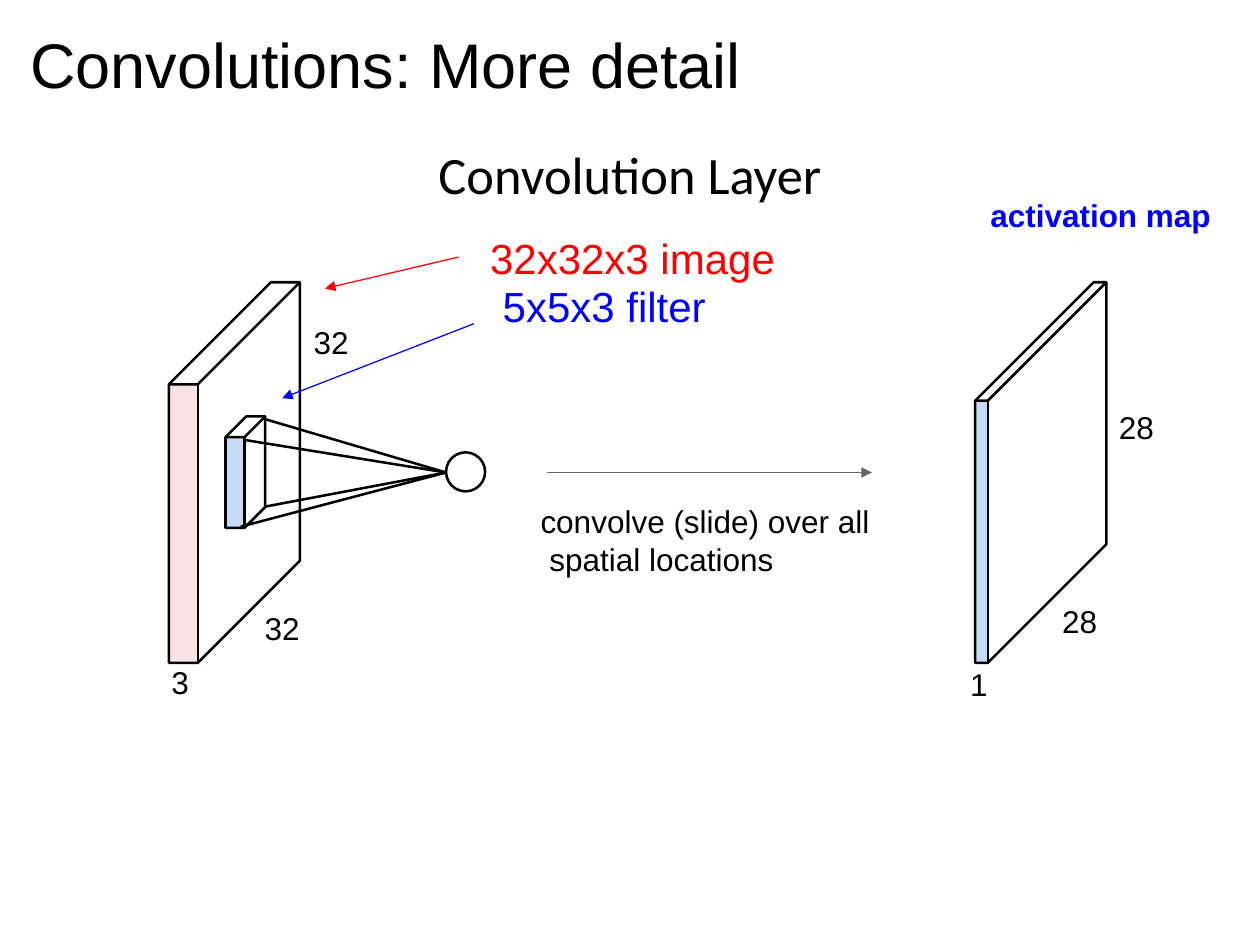
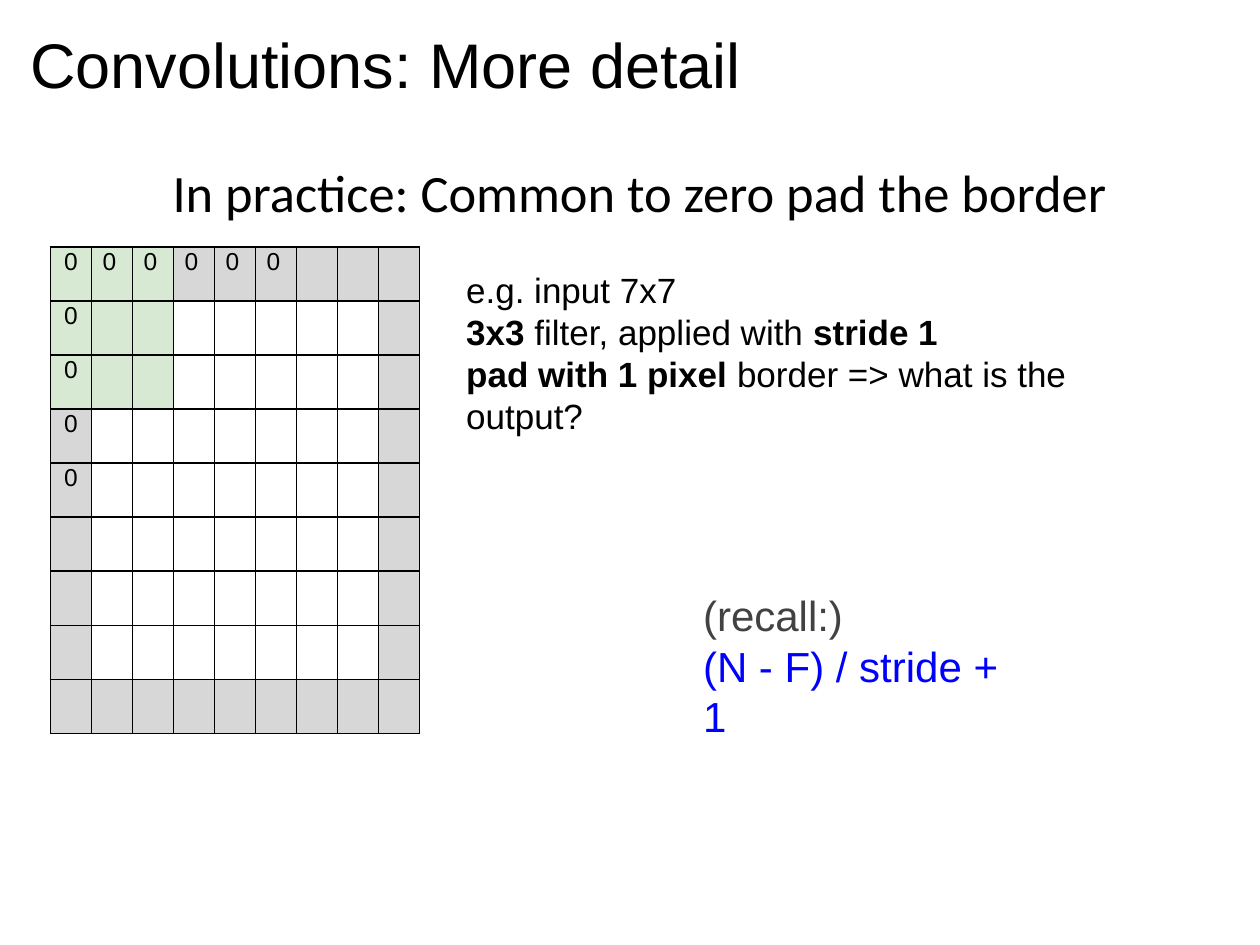
from dataclasses import dataclass

from lxml import etree
from pptx import Presentation
from pptx.dml.color import RGBColor
from pptx.enum.shapes import MSO_CONNECTOR, MSO_SHAPE
from pptx.enum.text import MSO_ANCHOR, MSO_AUTO_SIZE, PP_ALIGN
from pptx.oxml.ns import qn
from pptx.util import Inches, Pt

STRAIGHT = MSO_CONNECTOR.STRAIGHT
RECT, OVAL = MSO_SHAPE.RECTANGLE, MSO_SHAPE.OVAL
TOP, FIXED = MSO_ANCHOR.TOP, MSO_AUTO_SIZE.NONE
LEFT, CENTER = PP_ALIGN.LEFT, PP_ALIGN.CENTER

BLACK = RGBColor(0, 0, 0)
RED = RGBColor(0xFF, 0, 0)
BLUE = RGBColor(0, 0, 0xFF)
GRAY = RGBColor(0x66, 0x66, 0x66)
DARK = RGBColor(0x42, 0x42, 0x42)
PINK = RGBColor(0xF4, 0xCC, 0xCC)
SKY = RGBColor(0xC7, 0xDA, 0xF7)
GREEN = RGBColor(0xD7, 0xE9, 0xD2)
SILVER = RGBColor(0xD7, 0xD7, 0xD7)

BODY, HEAD = "Arial", "Calibri"
COLS, ROWS = 100, 75
THICK, THIN = 1.44, 0.72


@dataclass
class Para:
    """One paragraph; every second part between bars is bold."""
    text: str
    size: float = 18
    color: RGBColor = BLACK
    font: str = BODY
    indent: float = 0.1
    before: float = 0
    pitch: object = None
    align: object = LEFT


class Deck:
    """The style, and the slide being filled; lengths are grid units."""

    def __init__(self):
        self.prs = Presentation()
        self.prs.slide_width, self.prs.slide_height = Inches(10), Inches(7.5)
        self.col = self.prs.slide_width / COLS
        self.row = self.prs.slide_height / ROWS

    def spot(self, x, y):
        return round(x * self.col), round(y * self.row)

    def frame(self, x, y, w, h):
        return *self.spot(x, y), *self.spot(w, h)

    def slide(self, title):
        page = self.prs.slides.add_slide(self.prs.slide_layouts[5])
        self.shapes = page.shapes
        box = self.shapes.title
        box.left, box.top, box.width, box.height = self.frame(2.3, 1.9, 56.7, 6.3)
        self.fill(box.text_frame, [Para(title, 36)])

    # Text
    def fill(self, frame, paras, inset=0.1, wrap=False):
        frame.margin_left = frame.margin_right = frame.margin_bottom = 0
        frame.margin_top = round(inset * self.row)
        frame.vertical_anchor, frame.auto_size = TOP, FIXED
        frame.word_wrap = wrap
        for i, para in enumerate(paras):
            self.put(frame.add_paragraph() if i else frame.paragraphs[0], para)

    def put(self, par, para):
        par.alignment = para.align
        par.space_before = Pt(para.before)
        if para.pitch:
            par.line_spacing = para.pitch
        props = par._p.get_or_add_pPr()
        props.set("marL", str(round(para.indent * self.col)))
        props.set("indent", "0")
        for i, part in enumerate(para.text.split("|")):
            if part:
                run = par.add_run()
                run.text = part
                font = run.font
                font.name, font.size = para.font, Pt(para.size)
                font.bold = i % 2 == 1
                font.color.rgb = para.color

    def text(self, x, y, w, h, *paras, inset=0.1, wrap=False):
        box = self.shapes.add_textbox(*self.frame(x, y, w, h))
        self.fill(box.text_frame, paras, inset, wrap)

    def label(self, x, y, text, w=3, color=BLACK):
        self.text(x, y, w, 3.3, Para(text, color=color))

    # Lines and solids
    def edge(self, shape):
        shape.shadow.inherit = False
        shape.fill.background()
        shape.line.color.rgb = BLACK
        shape.line.width = Pt(THICK)

    def line(self, start, end, color=BLACK, width=THICK, arrow=False):
        link = self.shapes.add_connector(STRAIGHT, *self.spot(*start), *self.spot(*end))
        link.line.color.rgb, link.line.width = color, Pt(width)
        if arrow:
            rule = link._element.spPr.find(qn("a:ln"))
            etree.SubElement(rule, qn("a:tailEnd"), type="triangle")
        etree.SubElement(link._element.spPr, qn("a:effectLst"))

    def ring(self, x, y, size):
        self.edge(self.shapes.add_shape(OVAL, *self.frame(x, y, size, size)))

    def prism(self, x, y, w, h, depth, color, alpha=100):
        face = self.shapes.add_shape(RECT, *self.frame(x, y, w, h))
        face.shadow.inherit = False
        face.line.fill.background()
        face.fill.solid()
        face.fill.fore_color.rgb = color
        if alpha < 100:
            tint = face._element.spPr.find(".//" + qn("a:srgbClr"))
            etree.SubElement(tint, qn("a:alpha"), val=str(alpha * 1000))
        right, base = x + w, y + h
        far, top = right + depth, y - depth
        tracks = [
            [(x, y), (x + depth, top), (far, top), (far, base - depth),
             (right, base), (x, base), (x, y)],
            [(x, y), (right, y), (far, top)],
            [(right, y), (right, base)],
        ]
        pen = self.shapes.build_freeform(*self.spot(*tracks[0][0]))
        for i, track in enumerate(tracks):
            if i:
                pen.move_to(*self.spot(*track[0]))
            pen.add_line_segments([self.spot(*p) for p in track[1:]], close=False)
        self.edge(pen.convert_to_shape())

    # Table
    def table(self, x, y, w, h, count, style):
        grid = self.shapes.add_table(count, count, *self.frame(x, y, w, h)).table
        grid.first_row = grid.horz_banding = False
        for r in range(count):
            for c in range(count):
                self.cell(grid.cell(r, c), *style(r, c))

    def cell(self, cell, color, para):
        cell.margin_left = cell.margin_right = 0
        cell.margin_top = cell.margin_bottom = 0
        props = cell._tc.get_or_add_tcPr()
        for side in ("lnL", "lnR", "lnT", "lnB"):
            rule = etree.SubElement(props, qn("a:" + side), w=str(Pt(0.75)))
            paint = etree.SubElement(rule, qn("a:solidFill"))
            etree.SubElement(paint, qn("a:srgbClr"), val=str(BLACK))
        if color:
            cell.fill.solid()
            cell.fill.fore_color.rgb = color
        else:
            cell.fill.background()
        if para:
            self.put(cell.text_frame.paragraphs[0], para)


def pad(r, c):
    """Fill and zero of one cell in the padded 9 x 9 input."""
    color = None
    if r < 3 and c < 3:
        color = GREEN
    elif r in (0, 8) or c in (0, 8):
        color = SILVER
    if c == 0 and r < 5:
        return color, Para("0", 14, indent=0, pitch=Pt(16.4), align=CENTER)
    if r == 0 and c < 6:
        return color, Para("0", 14, indent=0.9, pitch=Pt(16.4))
    return color, None


def layer(deck):
    deck.slide("Convolutions: More detail")

    # Filter and its neuron
    deck.prism(17.9, 34.7, 1.5, 7.2, 1.65, SKY)
    deck.ring(35.4, 35.9, 3.1)
    for start in [(19.1, 41.8), (19.3, 34.9), (20.8, 33.2), (21.1, 40.2)]:
        deck.line(start, (35.4, 37.5))

    # Input image
    deck.prism(13.4, 30.5, 2.3, 22.1, 8.1, PINK, 52)
    deck.label(20.9, 48.2, "32")
    deck.label(13.5, 52.5, "3", 1.7)
    deck.line((36.4, 20.4), (25.8, 22.9), RED, THIN, True)
    deck.line((37.6, 25.7), (22.4, 31.6), BLUE, THIN, True)
    deck.text(24.8, 8.6, 40.5, 20.2,
              Para("Convolution Layer", 30, font=HEAD, indent=10),
              Para("32x32x3 image", 24, RED, indent=14.1, before=17.1, pitch=Pt(27.2)),
              Para("5x5x3 filter", 24, BLUE, indent=15.1, pitch=Pt(27.2)),
              Para("32", pitch=Pt(17.4)), inset=2.7, wrap=True)

    # Slide over the image
    deck.line((43.4, 37.5), (69.2, 37.5), GRAY, THIN, True)
    deck.text(42.8, 39.7, 26.2, 6.3,
              Para("convolve (slide) over all", pitch=1.01),
              Para("spatial locations", indent=0.8, pitch=1.01))

    # Activation map
    deck.prism(77.4, 31.8, 1, 20.8, 9.4, SKY)
    deck.label(78.5, 15.5, "|activation map|", 17.6, BLUE)
    deck.label(76.9, 52.7, "1", 1.7)
    deck.label(84.2, 47.7, "28")
    deck.label(88.7, 32.3, "28")


def border(deck):
    deck.slide("Convolutions: More detail")
    deck.text(13.6, 12.6, 74.3, 5.3,
              Para("In practice: Common to zero pad the border", 30, font=HEAD))

    # Padded input
    deck.table(4, 19.6, 29.3, 38.6, 9, pad)

    # Question and formula
    deck.text(36.9, 21.2, 56, 10.3,
              Para("e.g. input 7x7", 20),
              Para("|3x3 |filter, applied with |stride 1|", 20),
              Para("|pad with 1 pixel |border => what is the output?", 20), wrap=True)
    deck.text(55.7, 46.7, 25.5, 8.3,
              Para("(recall:)", 24, DARK),
              Para("(N - F) / stride + 1", 24, BLUE, before=0.2), wrap=True)


def main():
    deck = Deck()
    layer(deck)
    border(deck)
    deck.prs.save("out.pptx")


if __name__ == "__main__":
    main()
